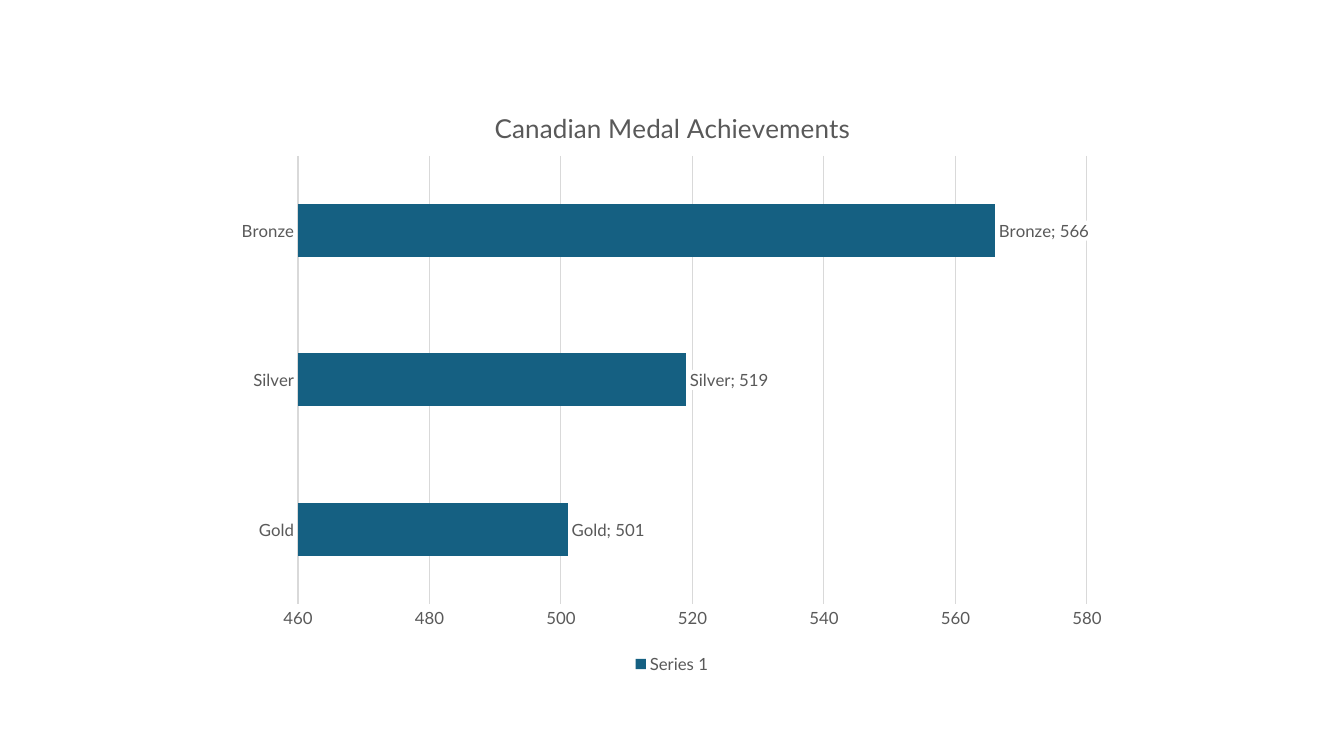
from lxml import etree
from pptx import Presentation
from pptx.chart.data import CategoryChartData
from pptx.dml.color import RGBColor
from pptx.enum.chart import (XL_CHART_TYPE as ChartType, XL_LABEL_POSITION as LabelPos,
                             XL_LEGEND_POSITION as LegendPos, XL_TICK_MARK as Tick)
from pptx.oxml import parse_xml
from pptx.oxml.ns import nsdecls, qn
from pptx.util import Emu, Pt

# Content
TITLE = "Canadian Medal Achievements"
SERIES = "Series 1"
MEDALS = {"Gold": 501, "Silver": 519, "Bronze": 566}
SCALE = {"minimum_scale": 460, "maximum_scale": 580, "major_unit": 20}

# Places in px: left, top, width, height
PX = 9071
SLIDE = (1344, 756)
CHART = (224, 80, 896, 598)
PLOT = (298, 156, 789, 448)
TITLE_AT = (490, 104)

THEME = {
    "font": "Lato", "text": RGBColor.from_string("595959"),
    "bar": RGBColor.from_string("156082"), "grid": RGBColor.from_string("D9D9D9"),
    "label_fill": "FFFFFF", "size": 12, "title_size": 18.6, "line": 0.75,
}


def style_font(font, size=THEME["size"]):
    for key, value in {"name": THEME["font"], "size": Pt(size), "bold": False}.items():
        setattr(font, key, value)
    font.color.rgb = THEME["text"]


def style_line(line):
    line.color.rgb = THEME["grid"]
    line.width = Pt(THEME["line"])


def manual_layout(place, inner=False):
    """Place a chart part as fractions of the chart area."""
    left, top, width, height = CHART
    fractions = [(place[0] - left) / width, (place[1] - top) / height]
    if len(place) == 4:
        fractions += [place[2] / width, place[3] / height]
    settings = [("layoutTarget", "inner")] if inner else []
    settings += [("xMode", "edge"), ("yMode", "edge")]
    settings += list(zip("xywh", (f"{part:.4f}" for part in fractions)))
    layout = parse_xml(f'<c:layout {nsdecls("c")}><c:manualLayout/></c:layout>')
    for tag, value in settings:
        etree.SubElement(layout[0], qn(f"c:{tag}")).set("val", value)
    return layout


deck = Presentation()
deck.slide_width, deck.slide_height = (Emu(side * PX) for side in SLIDE)
slide = deck.slides.add_slide(deck.slide_layouts[6])

# Chart
medal_data = CategoryChartData()
medal_data.categories = list(MEDALS)
medal_data.add_series(SERIES, list(MEDALS.values()))
chart = slide.shapes.add_chart(
    ChartType.BAR_CLUSTERED, *(Emu(side * PX) for side in CHART), medal_data).chart
style_font(chart.font)

# Title
chart.has_title = True
heading = chart.chart_title.text_frame
heading.text = TITLE
style_font(heading.paragraphs[0].runs[0].font, THEME["title_size"])
chart.chart_title.include_in_layout = False
title_xml = chart.chart_title._element
for old in title_xml.findall(qn("c:layout")):
    title_xml.remove(old)
title_xml.find(qn("c:tx")).addnext(manual_layout(TITLE_AT))

# Axes
medal_axis, count_axis = chart.category_axis, chart.value_axis
for axis in (medal_axis, count_axis):
    axis.major_tick_mark = axis.minor_tick_mark = Tick.NONE
    style_font(axis.tick_labels.font)
style_line(medal_axis.format.line)
count_axis.format.line.fill.background()
count_axis.has_major_gridlines = True
style_line(count_axis.major_gridlines.format.line)
for key, value in SCALE.items():
    setattr(count_axis, key, value)

# Bars
bars = chart.plots[0]
bars.gap_width = 182
bars.vary_by_categories = False
fill = bars.series[0].format.fill
fill.solid()
fill.fore_color.rgb = THEME["bar"]

# Bar labels on white, so the grid does not cross them
labels = bars.series[0].data_labels
for key, value in {"show_value": True, "show_category_name": True,
                   "position": LabelPos.OUTSIDE_END}.items():
    setattr(labels, key, value)
style_font(labels.font)
labels_xml = labels._element
labels_xml.find(qn("c:txPr")).addprevious(parse_xml(
    f'<c:spPr {nsdecls("c", "a")}><a:solidFill><a:srgbClr val="{THEME["label_fill"]}"/>'
    '</a:solidFill><a:ln><a:noFill/></a:ln></c:spPr>'))
separator = parse_xml(f'<c:separator {nsdecls("c")}>; </c:separator>')
labels_xml.find(qn("c:showBubbleSize")).addnext(separator)

# Legend
chart.has_legend = True
chart.legend.position = LegendPos.BOTTOM
chart.legend.include_in_layout = False
style_font(chart.legend.font)

# Plot area
plot_area = chart._chartSpace.chart.plotArea
for old in plot_area.findall(qn("c:layout")):
    plot_area.remove(old)
plot_area.insert(0, manual_layout(PLOT, inner=True))

deck.save("out.pptx")
